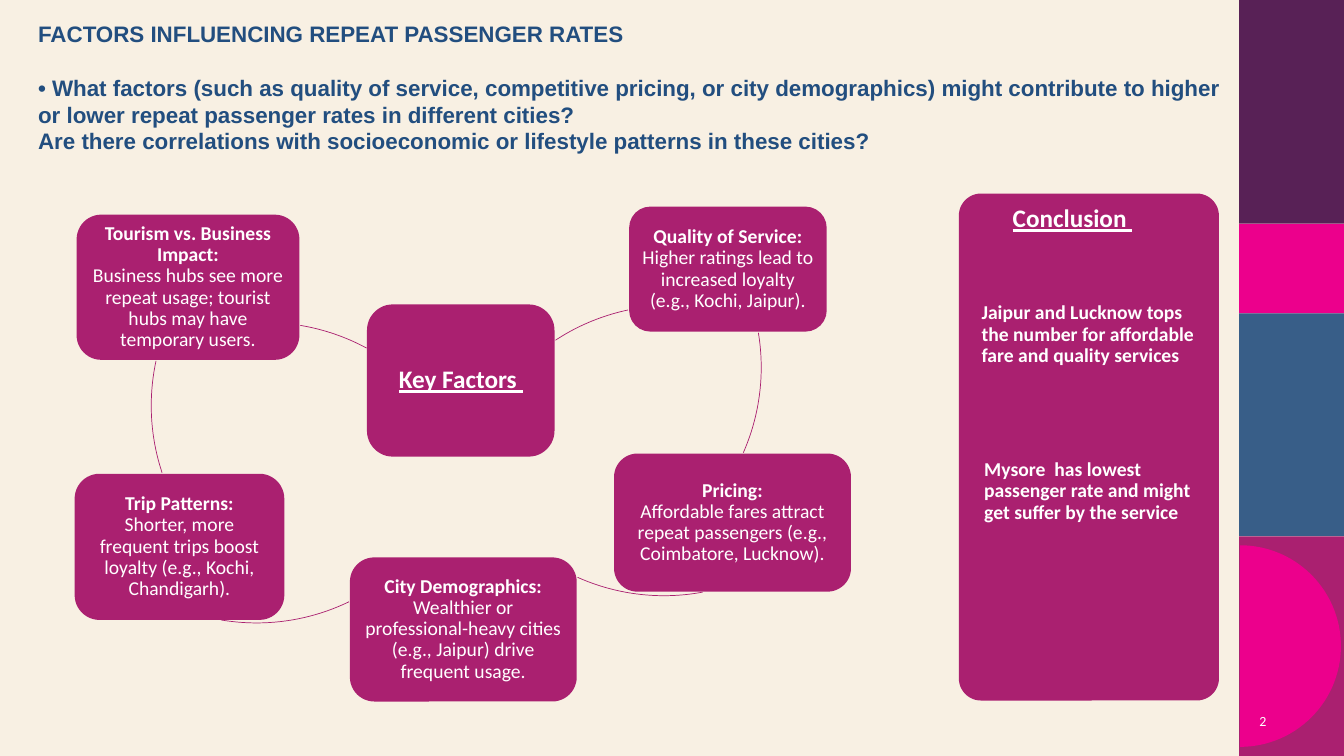
"""Build the slide on factors that influence repeat passenger rates."""
from dataclasses import dataclass
from itertools import accumulate
from math import cos, pi, sin

from pptx import Presentation
from pptx.dml.color import RGBColor
from pptx.enum.shapes import MSO_SHAPE as Preset
from pptx.enum.text import MSO_ANCHOR as Anchor, PP_ALIGN as Align
from pptx.shapes.autoshape import Shape
from pptx.slide import Slide
from pptx.text.text import TextFrame
from pptx.util import Inches, Pt

CELL = Inches(0.1)
COLUMNS, ROWS = 133.3, 75
RING = 42.1
STRIP_LEFT = 122.9


@dataclass(frozen=True)
class Theme:
    cream: str = "F8F0E3"
    navy: str = "224E7F"
    berry: str = "AA2070"
    pink: str = "EC008C"
    steel: str = "385E88"
    plum: str = "582156"
    white: str = "FFFFFF"
    title_font: str = "Arial"
    body_font: str = "Calibri"
    title_size: int = 16
    heading_size: int = 18
    body_size: int = 14
    number_size: int = 10
    arc_width: float = 0.5


@dataclass(frozen=True)
class Area:
    """Left, top, width and height in grid cells."""
    left: float
    top: float
    width: float
    height: float

    def lengths(self) -> tuple[int, ...]:
        return tuple(cells(n) for n in (self.left, self.top, self.width, self.height))


@dataclass(frozen=True)
class Factor:
    heading: str
    body: str
    area: Area


@dataclass(frozen=True)
class Arc:
    """Part of a ring, clockwise between two angles in degrees."""
    left: float
    top: float
    start: float
    end: float


@dataclass(frozen=True)
class Finding:
    text: str
    area: Area


@dataclass(frozen=True)
class Band:
    height: float
    color: str


THEME = Theme()

BANDS = (
    Band(22.2, THEME.plum),
    Band(8.9, THEME.pink),
    Band(22.1, THEME.steel),
    Band(21.8, THEME.berry),
)

TITLE = (
    "FACTORS INFLUENCING REPEAT PASSENGER RATES",
    "• What factors (such as quality of service, competitive pricing, or city demographics) "
    "might contribute to higher or lower repeat passenger rates in different cities?",
    "Are there correlations with socioeconomic or lifestyle patterns in these cities?",
)

FACTORS = (
    Factor("Quality of Service:",
           "Higher ratings lead to increased loyalty (e.g., Kochi, Jaipur).",
           Area(62.4, 20.5, 19.6, 12.4)),
    Factor("Pricing:",
           "Affordable fares attract repeat passengers (e.g., Coimbatore, Lucknow).",
           Area(60.9, 45, 23.5, 13.7)),
    Factor("City Demographics:",
           "Wealthier or professional-heavy cities (e.g., Jaipur) drive frequent usage.",
           Area(34.7, 55.3, 22.5, 14.3)),
    Factor("Trip Patterns:",
           "Shorter, more frequent trips boost loyalty (e.g., Kochi, Chandigarh).",
           Area(7.4, 47, 20.8, 14.5)),
    Factor("Tourism vs. Business Impact:",
           "Business hubs see more repeat usage; tourist hubs may have temporary users.",
           Area(7.6, 21.3, 22.1, 14.4)),
)

ARCS = (
    Arc(45.6, 30.3, 236.7, 258),
    Arc(33.4, 15.4, 350.6, 23.7),
    Arc(44.8, 17, 79.5, 114),
    Arc(4.4, 19.7, 64.2, 99.7),
    Arc(15, 19.2, 161.6, 192.2),
    Arc(5.3, 32, 279.4, 298.4),
)

FINDINGS = (
    Finding("Jaipur and Lucknow tops the number for affordable fare and quality services",
            Area(96, 28.7, 24.5, 35.2)),
    Finding("Mysore  has lowest passenger rate and might get suffer by the service",
            Area(96.4, 44.4, 23.2, 20.1)),
)


def cells(count: float) -> int:
    return round(count * CELL)


def paint(shape: Shape, color: str) -> Shape:
    shape.shadow.inherit = False
    shape.fill.solid()
    shape.fill.fore_color.rgb = RGBColor.from_string(color)
    shape.line.fill.background()
    return shape


def add_text(frame: TextFrame, text: str, *, size: int = THEME.body_size,
             font: str = THEME.body_font, color: str = THEME.white, bold: bool = False,
             underline: bool = False, align: Align = Align.LEFT, spacing: float = 0.9,
             before: float = 0) -> None:
    paragraph = frame.add_paragraph() if frame.text else frame.paragraphs[0]
    paragraph.alignment = align
    paragraph.line_spacing = spacing
    if before:
        paragraph.space_before = Pt(before)
    run = paragraph.add_run()
    run.text = text
    run.font.name, run.font.size = font, Pt(size)
    run.font.bold, run.font.underline = bold, underline
    run.font.color.rgb = RGBColor.from_string(color)


def add_box(slide: Slide, area: Area) -> TextFrame:
    frame = slide.shapes.add_textbox(*area.lengths()).text_frame
    frame.word_wrap = True
    return frame


def add_card(slide: Slide, area: Area, *, anchor: Anchor = Anchor.MIDDLE,
             corner: float = 0.17, inset: float = 0.6) -> TextFrame:
    card = paint(slide.shapes.add_shape(Preset.ROUNDED_RECTANGLE, *area.lengths()), THEME.berry)
    card.adjustments[0] = corner
    frame = card.text_frame
    frame.word_wrap = True
    frame.vertical_anchor = anchor
    frame.margin_left = frame.margin_right = cells(inset)
    frame.margin_top = frame.margin_bottom = cells(inset)
    return frame


def add_arc(slide: Slide, arc: Arc) -> None:
    shape = slide.shapes.add_shape(Preset.ARC, *Area(arc.left, arc.top, RING, RING).lengths())
    shape.shadow.inherit = False
    shape.fill.background()
    shape.line.color.rgb = RGBColor.from_string(THEME.berry)
    shape.line.width = Pt(THEME.arc_width)
    for index, angle in enumerate((arc.start, arc.end)):
        shape.adjustments[index] = angle * 0.6


def add_strip(slide: Slide) -> None:
    tops = accumulate((band.height for band in BANDS), initial=0)
    for top, band in zip(tops, BANDS):
        area = Area(STRIP_LEFT, top, COLUMNS - STRIP_LEFT, band.height)
        paint(slide.shapes.add_shape(Preset.RECTANGLE, *area.lengths()), band.color)
    left, middle, radius, steps = 123, 64.1, 10, 60
    angles = [pi * step / steps - pi / 2 for step in range(steps + 1)]
    points = [(cells(left + radius * cos(a)), cells(middle + radius * sin(a))) for a in angles]
    builder = slide.shapes.build_freeform(*points[0])
    builder.add_line_segments(points[1:], close=True)
    paint(builder.convert_to_shape(), THEME.pink)


def add_title(slide: Slide) -> None:
    frame = add_box(slide, Area(2.8, 1.5, 121.7, 14.7))
    for text, before in zip(TITLE, (0, 19.2, 0)):
        add_text(frame, text, size=THEME.title_size, font=THEME.title_font, color=THEME.navy,
                 bold=True, spacing=1.0, before=before)


def add_factors(slide: Slide) -> None:
    add_text(add_card(slide, Area(36.4, 30.2, 18.6, 15.1)), "Key Factors ",
             size=THEME.heading_size, bold=True, underline=True, align=Align.CENTER)
    for arc in ARCS:
        add_arc(slide, arc)
    for factor in FACTORS:
        frame = add_card(slide, factor.area)
        add_text(frame, factor.heading, bold=True, align=Align.CENTER)
        add_text(frame, factor.body, align=Align.CENTER)


def add_conclusion(slide: Slide) -> None:
    frame = add_card(slide, Area(95.1, 19.2, 25.8, 50.3), anchor=Anchor.TOP, corner=0.085)
    frame.margin_left = cells(4.7)
    add_text(frame, "Conclusion ", size=THEME.heading_size, bold=True, underline=True)
    for finding in FINDINGS:
        frame = add_card(slide, finding.area, anchor=Anchor.TOP, corner=0.105)
        add_text(frame, finding.text, bold=True)


def main() -> None:
    presentation = Presentation()
    presentation.slide_width, presentation.slide_height = cells(COLUMNS), cells(ROWS)
    slide = presentation.slides.add_slide(presentation.slide_layouts[6])
    slide.background.fill.solid()
    slide.background.fill.fore_color.rgb = RGBColor.from_string(THEME.cream)
    add_strip(slide)
    add_title(slide)
    number = add_box(slide, Area(121.6, 69.5, 5, 4))
    number.vertical_anchor = Anchor.MIDDLE
    add_text(number, "2", size=THEME.number_size, align=Align.RIGHT, spacing=1.0)
    add_factors(slide)
    add_conclusion(slide)
    presentation.save("out.pptx")


if __name__ == "__main__":
    main()
